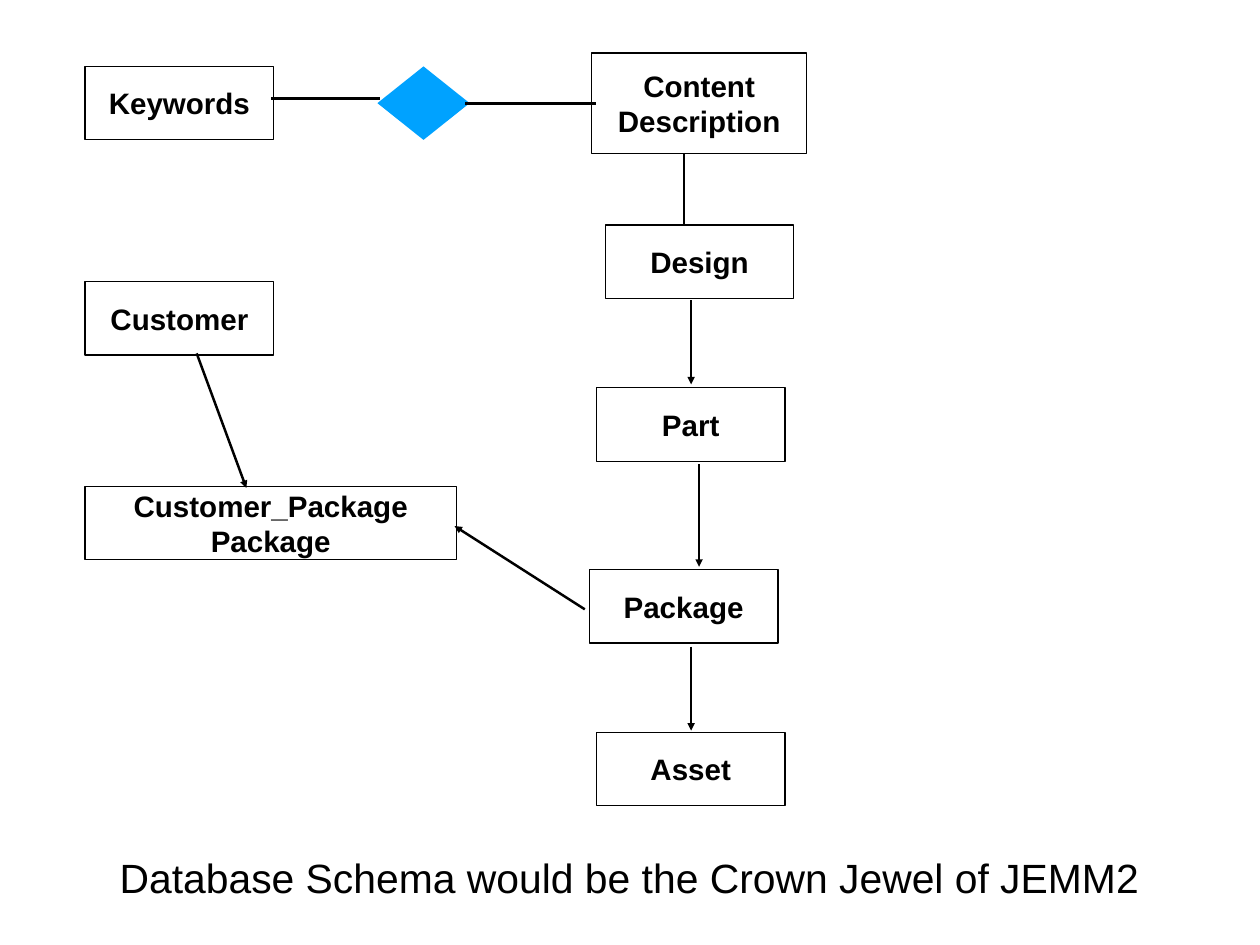
from lxml import etree
from pptx import Presentation, util as u
from pptx.dml.color import RGBColor as Rgb
from pptx.enum import shapes, text
from pptx.oxml.ns import qn

THEME = {
    "font": "Arial", "ink": Rgb(0, 0, 0), "blue": Rgb(0x00, 0xA2, 0xFF),
    "label": u.Pt(24), "title": u.Pt(33.2), "edge": u.Pt(1), "link": u.Pt(2),
    "pad": u.Inches(0.06),
}
SIZE = (2.13, 0.83)


def assign(obj, **vals):
    """Set every given value on the object."""
    for key, val in vals.items():
        setattr(obj, key, val)


def write(shape, words, size, bold):
    """Put centred lines of text in a shape."""
    frame = shape.text_frame
    frame.text = words
    pad = THEME["pad"]
    assign(frame, word_wrap=True, auto_size=text.MSO_AUTO_SIZE.NONE,
           vertical_anchor=text.MSO_ANCHOR.MIDDLE, margin_left=pad,
           margin_right=pad, margin_top=pad, margin_bottom=pad)
    for para in frame.paragraphs:
        para.alignment = text.PP_ALIGN.CENTER
        for run in para.runs:
            assign(run.font, name=THEME["font"], size=size, bold=bold)
            run.font.color.rgb = THEME["ink"]


def entity(slide, words, left, top, size=SIZE):
    """Draw one outlined entity box with its name."""
    box = slide.shapes.add_shape(shapes.MSO_SHAPE.RECTANGLE,
                                 *map(u.Inches, (left, top, *size)))
    box.shadow.inherit = False
    box.fill.background()
    box.line.color.rgb = THEME["ink"]
    box.line.width = THEME["edge"]
    write(box, words, THEME["label"], True)


def link(slide, start, end, arrow=True):
    """Draw a line between two points, with an arrowhead if asked."""
    line = slide.shapes.add_connector(shapes.MSO_CONNECTOR.STRAIGHT,
                                      *map(u.Inches, (*start, *end)))
    line.line.color.rgb = THEME["ink"]
    line.line.width = THEME["link"]
    if arrow:
        etree.SubElement(line.line._get_or_add_ln(), qn("a:tailEnd"),
                         type="triangle", w="med", len="med")
    etree.SubElement(line._element.spPr, qn("a:effectLst"))


def keywords(slide, left, top):
    """Draw the keywords entity and its relation diamond."""
    entity(slide, "Keywords", left, top)
    gem = slide.shapes.add_shape(shapes.MSO_SHAPE.DIAMOND, *map(
        u.Inches, (left + 3.3, top, 1.04, SIZE[1])))
    gem.shadow.inherit = False
    gem.fill.solid()
    gem.fill.fore_color.rgb = THEME["blue"]
    gem.line.fill.background()
    link(slide, (left + 2.1, top + 0.36), (left + 3.33, top + 0.36), False)
    link(slide, (left + 4.29, top + 0.42), (left + 5.77, top + 0.42), False)


def chain(slide, left, top):
    """Draw the column from content description down to asset."""
    entity(slide, "Content\nDescription", left, top, (2.42, 1.13))
    for name, x, y in (("Design", 0.15, 1.94), ("Part", 0.05, 3.78),
                       ("Package", -0.03, 5.83), ("Asset", 0.05, 7.67)):
        entity(slide, name, left + x, top + y)
    for x, y, end, arrow in ((1.04, 1.14, 1.93, False), (1.12, 2.79, 3.74, True),
                             (1.21, 4.64, 5.8, True), (1.12, 6.7, 7.65, True)):
        link(slide, (left + x, top + y), (left + x, top + end), arrow)


def customers(slide, left, top):
    """Draw the customer entity and its packages."""
    entity(slide, "Customer", left, top)
    entity(slide, "Customer_Package\nPackage", left, top + 2.31, (4.19, SIZE[1]))
    link(slide, (left + 1.26, top + 0.81), (left + 1.82, top + 2.33))
    link(slide, (left + 5.64, top + 3.7), (left + 4.17, top + 2.76))


def caption(slide, left, top, width, height):
    """Move the title placeholder to the foot and fill it."""
    title = slide.shapes.title
    assign(title, left=u.Inches(left), top=u.Inches(top),
           width=u.Inches(width), height=u.Inches(height))
    write(title, "Database Schema would be the Crown Jewel of JEMM2",
          THEME["title"], False)


deck = Presentation()
assign(deck, slide_width=u.Inches(14.22), slide_height=u.Inches(10.67))
page = deck.slides.add_slide(deck.slide_layouts[5])
keywords(page, 0.96, 0.75)
chain(page, 6.68, 0.6)
customers(page, 0.96, 3.18)
caption(page, 1.04, 9.54, 12.14, 0.72)
deck.save("out.pptx")
